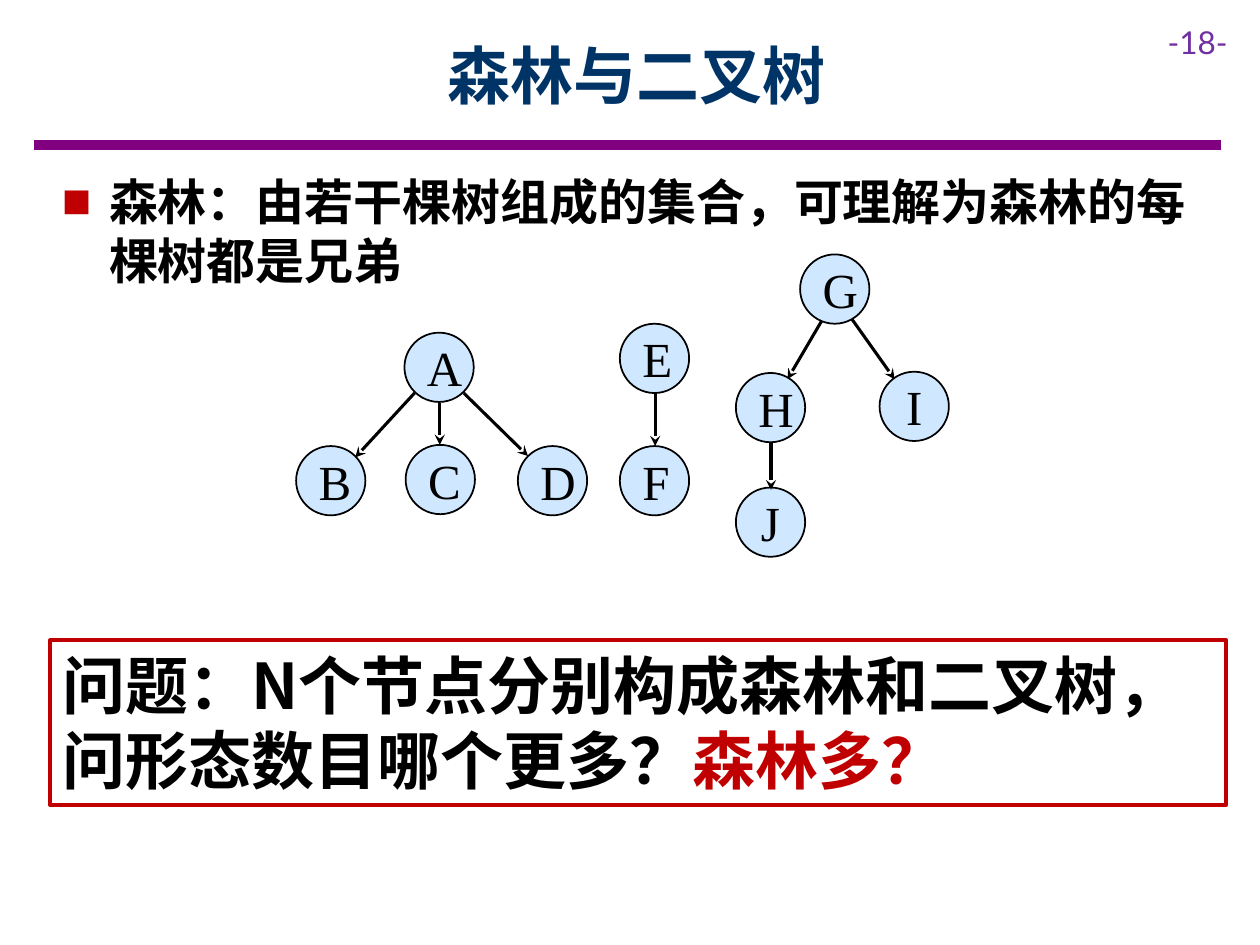
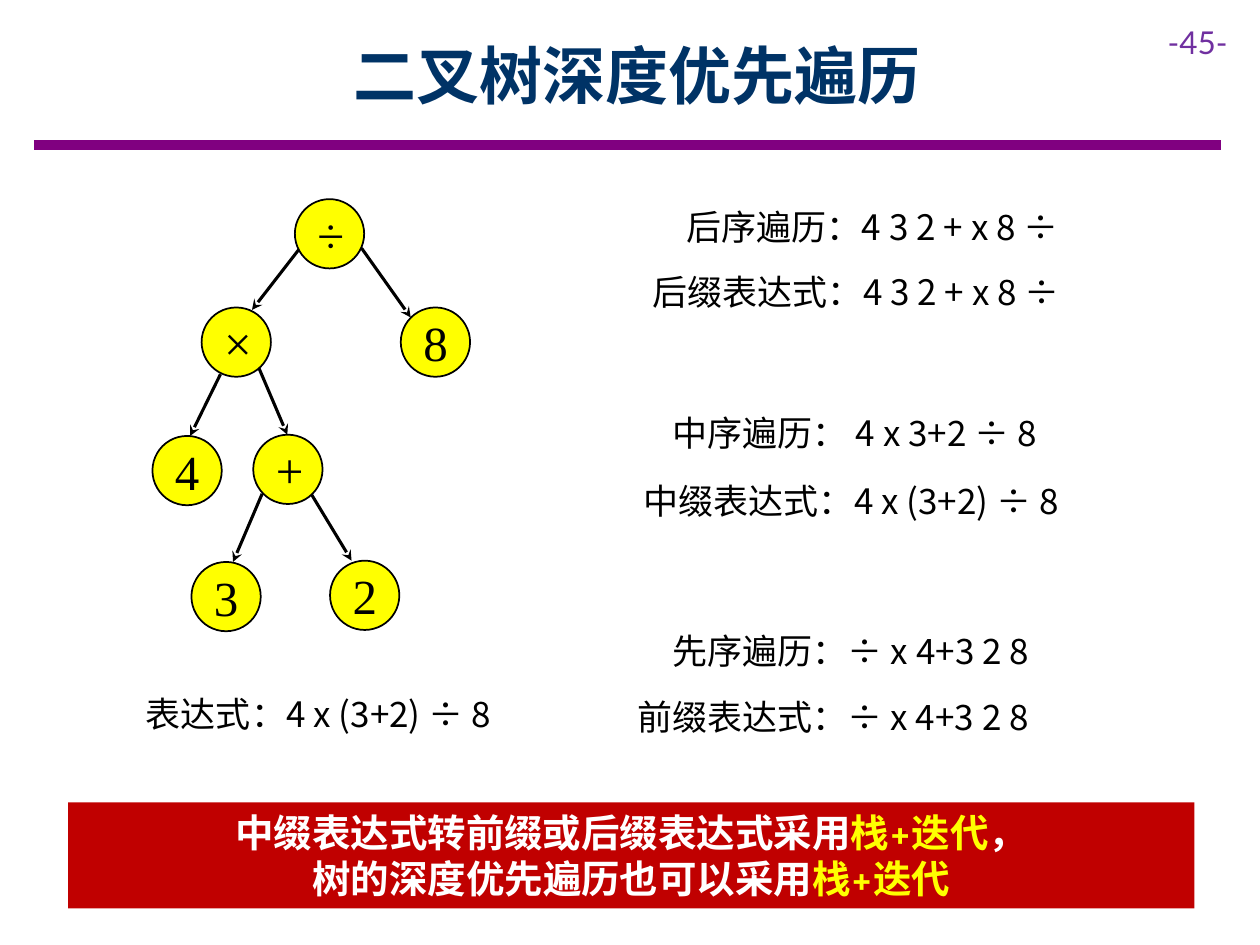
from lxml.etree import SubElement
from pptx import Presentation
from pptx.dml.color import RGBColor
from pptx.enum.shapes import MSO_CONNECTOR, MSO_SHAPE
from pptx.enum.text import MSO_ANCHOR, MSO_AUTO_SIZE, PP_ALIGN
from pptx.oxml.ns import qn
from pptx.util import Pt

NAVY = RGBColor(0x00, 0x33, 0x66)
PURPLE = RGBColor(0x80, 0x00, 0x80)
VIOLET = RGBColor(0x70, 0x30, 0xA0)
RED = RGBColor(0xC0, 0x00, 0x00)
YELLOW = RGBColor(0xFF, 0xFF, 0x00)
SKY = RGBColor(0x99, 0xCC, 0xFF)
BLACK = RGBColor(0x00, 0x00, 0x00)
WHITE = RGBColor(0xFF, 0xFF, 0xFF)

CHINESE_FONT = "Noto Sans CJK SC"
NODE_SIZE = 39.6
TITLE_FRAME = {"left": 64.8, "top": 6.5, "width": 598.3, "height": 72}
BODY_FRAME = {"left": 28.1, "top": 94.3, "width": 671.8, "height": 74.9}

TITLE_STYLE = {"size": Pt(36), "bold": True, "name": CHINESE_FONT}
BODY_STYLE = {"size": Pt(28), "bold": True, "name": CHINESE_FONT}
NODE_STYLE = {"size": Pt(28), "name": "Times New Roman"}
NUMBER_STYLE = {"size": Pt(18), "name": "Lato"}
NOTE_STYLE = {"size": Pt(20), "name": CHINESE_FONT}
BAND_STYLE = {"size": Pt(22), "bold": True, "name": "Cambria"}


def write(paragraph, runs, style, alignment=PP_ALIGN.LEFT):
    """Fill a paragraph with (text, colour) runs at a line pitch of 1.2."""
    paragraph.alignment = alignment
    paragraph.space_before = Pt(0)
    paragraph.line_spacing = Pt(1.2 * style["size"].pt)
    for text, colour in runs:
        run = paragraph.add_run()
        run.text = text
        for name, value in style.items():
            setattr(run.font, name, value)
        run.font.color.rgb = colour
        properties = run._r.get_or_add_rPr()
        SubElement(properties, qn("a:ea"), typeface=CHINESE_FONT)


def add_line(slide, ends, colour, width):
    """Draw a plain line without shadow; ends is (x1, y1, x2, y2)."""
    line = slide.shapes.add_connector(MSO_CONNECTOR.STRAIGHT, *map(Pt, ends))
    line.line.color.rgb = colour
    line.line.width = Pt(width)
    SubElement(line._element.spPr, qn("a:effectLst"))
    return line


presentation = Presentation()
presentation.slide_width = Pt(720)
presentation.slide_height = Pt(540)
forest_slide = presentation.slides.add_slide(presentation.slide_layouts[1])
traversal_slide = presentation.slides.add_slide(presentation.slide_layouts[5])

# Title, rule and page number
for slide, title_text, page_number in (
    (forest_slide, "森林与二叉树", "-18-"),
    (traversal_slide, "二叉树深度优先遍历", "-45-"),
):
    add_line(slide, (19.4, 82.8, 697.7, 82.8), PURPLE, 6)
    number_box = slide.shapes.add_textbox(Pt(660.2), Pt(9.4), Pt(59.8), Pt(28.8))
    number_box.text_frame.word_wrap = True
    write(number_box.text_frame.paragraphs[0], [(page_number, VIOLET)], NUMBER_STYLE)

    title = slide.shapes.title
    for name, value in TITLE_FRAME.items():
        setattr(title, name, Pt(value))
    title.text_frame.auto_size = MSO_AUTO_SIZE.NONE
    title.text_frame.vertical_anchor = MSO_ANCHOR.MIDDLE
    write(title.text_frame.paragraphs[0], [(title_text, NAVY)], TITLE_STYLE,
          PP_ALIGN.CENTER)

# Trees: nodes by left and top, arrows from parent to child
forest_nodes = {
    "A": (231.1, 190.1), "B": (169.2, 254.9), "C": (231.8, 254.2),
    "D": (295.9, 254.9), "E": (354.2, 185), "F": (354.2, 254.9),
    "G": (457.2, 145.4), "H": (420.5, 213.1), "I": (502.6, 212.4),
    "J": (420.5, 278.6),
}
forest_arrows = [
    (236.9, 224.6, 203, 261.4), (251.3, 230.4, 251.3, 254.2),
    (265, 224.6, 301.7, 260.6), (374.4, 225.4, 374.4, 254.9),
    (469.4, 183.6, 450, 216.7), (486.7, 182.2, 511.2, 216.7),
    (440.6, 252.7, 440.6, 280.1),
]
expression_nodes = {
    "÷": (168.5, 113.8), "×": (115.2, 175.7), "8": (229, 175.7),
    "4": (87.1, 249.1), "+": (144.7, 248.4), "3": (109.4, 321.1),
    "2": (188.6, 320.4),
}
expression_arrows = [
    (171.4, 141.8, 144, 177.1), (206.6, 141.8, 234.7, 181.4),
    (126, 213.8, 108.7, 249.1), (147.6, 209.5, 164.2, 248.4),
    (149.8, 282.2, 133.2, 321.1), (177.8, 282.2, 200.9, 320.4),
]
for slide, nodes, arrows, fill_colour, opacity in (
    (forest_slide, forest_nodes, forest_arrows, SKY, 47),
    (traversal_slide, expression_nodes, expression_arrows, YELLOW, 100),
):
    for ends in arrows:
        arrow = add_line(slide, ends, BLACK, 1.75)
        SubElement(arrow.line._get_or_add_ln(), qn("a:tailEnd"), type="stealth")
    for label, (left, top) in nodes.items():
        node = slide.shapes.add_shape(MSO_SHAPE.OVAL, Pt(left), Pt(top),
                                      Pt(NODE_SIZE), Pt(NODE_SIZE))
        node.shadow.inherit = False
        node.fill.solid()
        node.fill.fore_color.rgb = fill_colour
        if opacity < 100:
            colour_element = node._element.spPr.find(qn("a:solidFill"))[0]
            SubElement(colour_element, qn("a:alpha"), val=str(opacity * 1000))
        node.line.color.rgb = BLACK
        node.line.width = Pt(1)
        frame = node.text_frame
        frame.vertical_anchor = MSO_ANCHOR.MIDDLE
        for side in ("left", "top", "right", "bottom"):
            setattr(frame, f"margin_{side}", Pt(7.2))
        write(frame.paragraphs[0], [(label, BLACK)], NODE_STYLE, PP_ALIGN.CENTER)

# Forest slide: definition and question
body = forest_slide.placeholders[1]
for name, value in BODY_FRAME.items():
    setattr(body, name, Pt(value))
body.text_frame.auto_size = MSO_AUTO_SIZE.NONE
definition = body.text_frame.paragraphs[0]
definition_properties = definition._p.get_or_add_pPr()
definition_properties.set("marL", str(Pt(27)))
definition_properties.set("indent", str(Pt(-27)))
bullet_colour = SubElement(definition_properties, qn("a:buClr"))
SubElement(bullet_colour, qn("a:srgbClr"), val=str(RED))
SubElement(definition_properties, qn("a:buChar"), char="■")
definition.space_after = Pt(6)
write(definition, [("森林：由若干棵树组成的集合，可理解为森林的每棵树都是兄弟", BLACK)],
      BODY_STYLE)

question_box = forest_slide.shapes.add_shape(
    MSO_SHAPE.RECTANGLE, Pt(28.8), Pt(365.8), Pt(671.8), Pt(94.3))
question_box.shadow.inherit = False
question_box.fill.background()
question_box.line.color.rgb = RED
question_box.line.width = Pt(2.25)
question_box.text_frame.vertical_anchor = MSO_ANCHOR.TOP
question = question_box.text_frame.paragraphs[0]
question.space_after = Pt(6)
write(question, [("问题：N个节点分别构成森林和二叉树，问形态数目哪个更多？", BLACK),
                 ("森林多？", RED)], TITLE_STYLE)

# Traversal slide: expressions and conclusion
for text, left, top, width in (
    ("表达式：4 x (3+2) ÷ 8", 76.3, 392.4, 232.6),
    ("后序遍历：4 3 2 + x 8 ÷", 385.2, 113.8, 260.6),
    ("后缀表达式：4 3 2 + x 8 ÷", 365.8, 151.2, 280.1),
    ("中序遍历： 4 x 3+2 ÷ 8", 377.3, 231.8, 232.6),
    ("中缀表达式：4 x (3+2) ÷ 8", 360.7, 270.7, 277.9),
    ("先序遍历：÷ x 4+3 2 8", 377.3, 356.4, 268.6),
    ("前缀表达式：÷ x 4+3 2 8", 357.1, 393.8, 300.2),
):
    note = traversal_slide.shapes.add_textbox(Pt(left), Pt(top), Pt(width), Pt(31.7))
    note.text_frame.word_wrap = True
    write(note.text_frame.paragraphs[0], [(text, BLACK)], NOTE_STYLE)

conclusion_band = traversal_slide.shapes.add_shape(
    MSO_SHAPE.RECTANGLE, Pt(38.9), Pt(458.6), Pt(643.7), Pt(60.5))
conclusion_band.shadow.inherit = False
conclusion_band.fill.solid()
conclusion_band.fill.fore_color.rgb = RED
conclusion_band.line.fill.background()
frame = conclusion_band.text_frame
frame.vertical_anchor = MSO_ANCHOR.TOP
method = ("栈+迭代", YELLOW)
write(frame.paragraphs[0],
      [("中缀表达式转前缀或后缀表达式采用", WHITE), method, ("，", WHITE)],
      BAND_STYLE, PP_ALIGN.CENTER)
write(frame.add_paragraph(), [("树的深度优先遍历也可以采用", WHITE), method],
      BAND_STYLE, PP_ALIGN.CENTER)

presentation.save("out.pptx")
